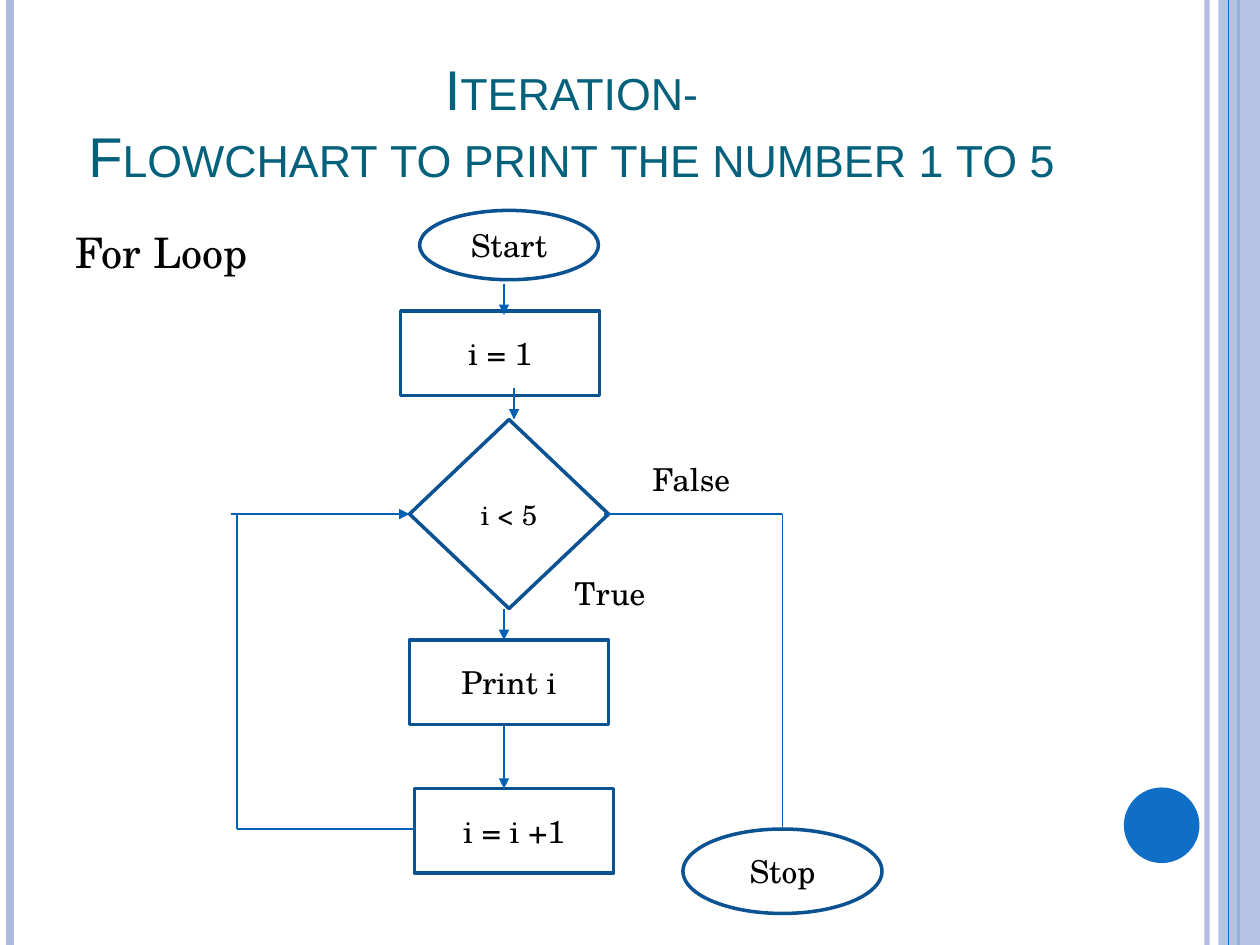
from lxml import etree
from pptx import Presentation
from pptx.dml.color import RGBColor
from pptx.enum.shapes import MSO_CONNECTOR, MSO_SHAPE
from pptx.enum.text import MSO_ANCHOR, MSO_AUTO_SIZE, PP_ALIGN
from pptx.oxml.ns import qn
from pptx.util import Pt

RECT, OVAL, DIAMOND = MSO_SHAPE.RECTANGLE, MSO_SHAPE.OVAL, MSO_SHAPE.DIAMOND
STRAIGHT = MSO_CONNECTOR.STRAIGHT
LEFT, CENTER = PP_ALIGN.LEFT, PP_ALIGN.CENTER
TOP, MIDDLE, BOTTOM = MSO_ANCHOR.TOP, MSO_ANCHOR.MIDDLE, MSO_ANCHOR.BOTTOM
NO_FIT, GROW = MSO_AUTO_SIZE.NONE, MSO_AUTO_SIZE.SHAPE_TO_FIT_TEXT

PX = 9144  # EMU in one px, 100 px to the inch
SERIF, SANS = "TeX Gyre Schola", "Arial"
BLACK, TEAL, OUTLINE, ARROW = "000000", "04617B", "0B5292", "0060B6"
BLUE, PALE = "0F6FC6", "ABBBDF"


def emu(*px):
    return [round(v * PX) for v in px]


def paint(fill, color, alpha=None):
    fill.solid()
    fill.fore_color.rgb = RGBColor.from_string(color)
    if alpha:
        clr = fill._xPr.find(qn("a:solidFill"))[0]
        etree.SubElement(clr, qn("a:alpha"), val=str(alpha * 1000))


def write(sp, text, size=18, font=SERIF, color=BLACK, align=CENTER,
          anchor=MIDDLE, before=0, fit=NO_FIT, small_caps=False):
    tf = sp.text_frame
    tf.word_wrap = True
    tf.auto_size = fit
    tf.vertical_anchor = anchor
    p = tf.paragraphs[0]
    p.text = text
    p.alignment = align
    p.space_before = Pt(before)
    for r in p.runs:
        r.font.size, r.font.name = Pt(size), font
        paint(r.font.fill, color)
        if small_caps:
            r.font._element.set("cap", "small")
    return p


def add_shape(s, kind, box, fill=None, line=None, alpha=None):
    sp = s.shapes.add_shape(kind, *emu(*box))
    sp.shadow.inherit = False
    if fill:
        paint(sp.fill, fill, alpha)
    else:
        sp.fill.background()
    if line:
        paint(sp.line.fill, line)
        sp.line.width = Pt(2)
    else:
        sp.line.fill.background()
    return sp


def add_line(s, start, end, color=ARROW, width=1, arrow=False, alpha=None):
    c = s.shapes.add_connector(STRAIGHT, *emu(*start, *end))
    paint(c.line.fill, color, alpha)
    c.line.width = Pt(width)
    if arrow:
        ln = c._element.spPr.find(qn("a:ln"))
        etree.SubElement(ln, qn("a:tailEnd"), type="triangle")
    etree.SubElement(c._element.spPr, qn("a:effectLst"))
    return c


def add_frame(s, w, h):
    """Stripes at both edges and the disc at lower right."""
    def stripe(x, color, width, alpha=None):
        add_line(s, (x, 0), (x, h), color, width, alpha=alpha)

    stripe(w - 42, PALE, 3, 93)
    stripe(8, PALE, 4.5)
    stripe(w - 17, BLUE, 1.5)
    add_shape(s, RECT, (w - 33, 0, 33, h), fill=PALE, alpha=87)
    stripe(w - 25, BLUE, 0.75)
    add_shape(s, OVAL, (w - 108, h - 125, 60, 60), fill=BLUE)


def place(sp, box):
    sp.left, sp.top, sp.width, sp.height = emu(*box)


def add_heading(s, x, y, w):
    title, body = s.placeholders[0], s.placeholders[1]
    place(title, (x, y, w, 125))
    write(title, "Iteration- \vFlowchart to print the number 1 to 5 ", size=32,
          font=SANS, color=TEAL, anchor=BOTTOM, small_caps=True)
    place(body, (x, y + 145, w, 558))
    p = write(body, "For Loop", size=24, align=LEFT, anchor=TOP, before=6)
    pPr = p._p.get_or_add_pPr()
    pPr.set("marL", "0")
    pPr.set("indent", "0")
    etree.SubElement(pPr, qn("a:buNone"))


def add_flowchart(s, x, y):
    """Flowchart with its loop corner at x and its top at y."""
    def node(kind, dx, dy, w, h, text, size=18):
        sp = add_shape(s, kind, (x + dx, y + dy, w, h), line=OUTLINE)
        write(sp, text, size)
        return sp

    def line(x1, y1, x2, y2, arrow=False):
        return add_line(s, (x + x1, y + y1), (x + x2, y + y2), arrow=arrow)

    def label(dx, dy, text):
        tb = s.shapes.add_textbox(*emu(x + dx, y + dy, 92, 40))
        write(tb, text, align=LEFT, anchor=TOP, fit=GROW)

    # Steps
    node(OVAL, 150, 0, 142, 55, "Start")
    node(RECT, 135, 80, 158, 67, "i = 1")
    test = node(DIAMOND, 142, 166, 158, 150, "i < 5", 16)
    node(RECT, 142, 341, 158, 67, "Print i")
    node(RECT, 146, 459, 158, 67, "i = i +1")
    stop = node(OVAL, 359, 491, 158, 67, "Stop")

    # Arrows down the middle
    for ax, top, bottom in ((217, 58, 83), (225, 141, 166),
                            (217, 316, 341), (217, 408, 459)):
        line(ax, top, ax, bottom, arrow=True)

    # Loop back to the test
    line(146, 491, 5, 491)
    line(5, 491, 5, 241)
    line(0, 241, 142, 241, arrow=True).end_connect(test, 1)

    # Way out to the end
    line(438, 241, 296, 241)
    line(438, 241, 438, 491).end_connect(stop, 0)
    label(263, 284, "True")
    label(325, 193, "False")


def main():
    prs = Presentation()
    prs.slide_width, prs.slide_height = emu(1000, 750)
    s = prs.slides.add_slide(prs.slide_layouts[1])
    add_frame(s, 1000, 750)
    add_heading(s, 50, 30, 817)
    add_flowchart(s, 183, 167)
    prs.save("out.pptx")


if __name__ == "__main__":
    main()
